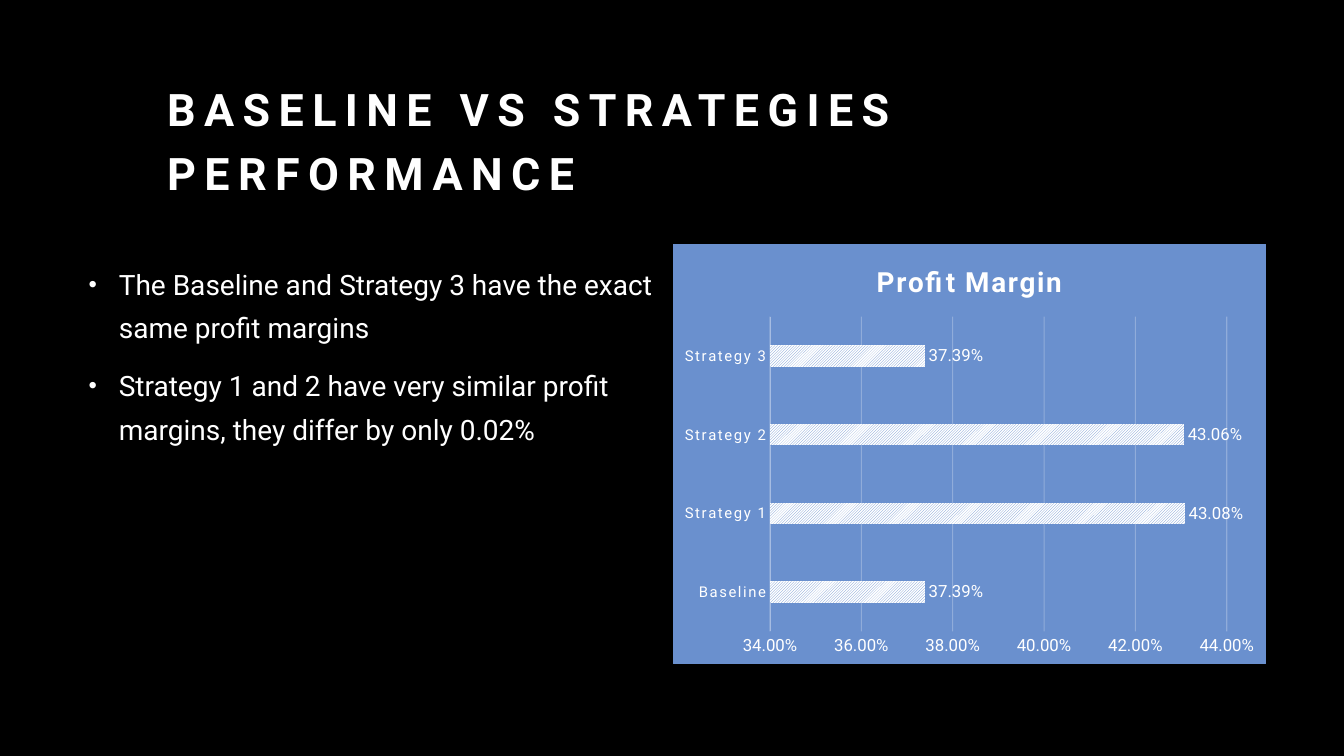
"""Build a slide comparing the profit margins of the baseline and three strategies."""
import pptx
import pptx.chart.data
import pptx.dml.color
import pptx.enum.chart
import pptx.enum.dml
import pptx.enum.text
import pptx.oxml
import pptx.oxml.ns
import pptx.util
from pptx.util import Inches

COLORS = {"black": "000000", "white": "FFFFFF", "blue": "6A90CE", "axis": "A6BCE2"}
FONT = "Roboto"


def rgb(name):
    return pptx.dml.color.RGBColor.from_string(COLORS[name])


def style(font, size, bold=False):
    font.name = FONT
    font.size = pptx.util.Pt(size)
    font.bold = bold
    font.color.rgb = rgb("white")


deck = pptx.Presentation()
deck.slide_width, deck.slide_height = Inches(13.33), Inches(7.5)
page = deck.slides.add_slide(deck.slide_layouts[6])
page.background.fill.solid()
page.background.fill.fore_color.rgb = rgb("black")

title_box = page.shapes.add_textbox(Inches(1.56), Inches(1.09), Inches(10.1), Inches(0.94))
title_box.text_frame.word_wrap = True
title_box.text_frame.vertical_anchor = pptx.enum.text.MSO_ANCHOR.BOTTOM
para = title_box.text_frame.paragraphs[0]
para.line_spacing = 1.2
span = para.add_run()
span.text = "BASELINE VS STRATEGIES PERFORMANCE"
style(span.font, 32, bold=True)
span.font._rPr.set("spc", "600")

margins = pptx.chart.data.CategoryChartData(number_format="0.00%")
margins.categories = ["Baseline", "Strategy 1", "Strategy 2", "Strategy 3"]
margins.add_series("Profit Margin", [0.3739, 0.4308, 0.4306, 0.3739])
chart = page.shapes.add_chart(
    pptx.enum.chart.XL_CHART_TYPE.BAR_CLUSTERED,
    Inches(6.67), Inches(2.42), Inches(5.89), Inches(4.17), margins,
).chart
style(chart.font, 10)
chart.has_legend = False
chart.has_title = True
chart.chart_title.include_in_layout = False
span = chart.chart_title.text_frame.paragraphs[0].add_run()
span.text = "Profit Margin"
style(span.font, 19.9, bold=True)
span.font._rPr.set("spc", "100")

solid = f'<a:solidFill><a:srgbClr val="{COLORS["blue"]}"/></a:solidFill>'
chart_area = pptx.oxml.parse_xml(
    f'<c:spPr {pptx.oxml.ns.nsdecls("c", "a")}>{solid}<a:ln w="9525">{solid}</a:ln></c:spPr>'
)
chart._chartSpace.chart.addnext(chart_area)

categories = chart.category_axis
categories.major_tick_mark = pptx.enum.chart.XL_TICK_MARK.NONE
categories.format.line.color.rgb = rgb("axis")
categories.format.line.width = pptx.util.Pt(0.25)
style(categories.tick_labels.font, 10.6)
categories.tick_labels.font._rPr.set("spc", "120")

values = chart.value_axis
values.minimum_scale, values.maximum_scale, values.major_unit = 0.34, 0.44, 0.02
values.major_tick_mark = pptx.enum.chart.XL_TICK_MARK.NONE
values.format.line.fill.background()
values.tick_labels.number_format = "0.00%"
values.tick_labels.number_format_is_linked = False
style(values.tick_labels.font, 12)
grid = values.major_gridlines.format.line
grid.color.rgb = rgb("white")
grid.width = pptx.util.Pt(0.75)
grid_color = grid._ln.find(".//" + pptx.oxml.ns.qn("a:srgbClr"))
grid_color.append(pptx.oxml.parse_xml(f'<a:alpha {pptx.oxml.ns.nsdecls("a")} val="25000"/>'))

plot = chart.plots[0]
plot.gap_width, plot.overlap = 269, -20
plot.vary_by_categories = False
bars = plot.series[0]
bars.invert_if_negative = False
bars.format.fill.patterned()
bars.format.fill.pattern = pptx.enum.dml.MSO_PATTERN.LIGHT_UPWARD_DIAGONAL
bars.format.fill.fore_color.rgb = rgb("blue")
bars.format.fill.back_color.rgb = rgb("white")
labels = bars.data_labels
labels.show_value = True
labels.position = pptx.enum.chart.XL_LABEL_POSITION.OUTSIDE_END
labels.number_format = "0.00%"
labels.number_format_is_linked = False
style(labels.font, 12)

findings = [
    "The Baseline and Strategy 3 have the exact\vsame profit margins",
    "Strategy 1 and 2 have very similar profit\vmargins, they differ by only 0.02%",
]
findings_box = page.shapes.add_textbox(Inches(0.78), Inches(2.5), Inches(10.39), Inches(4.17))
frame = findings_box.text_frame
frame.word_wrap = True
for index, finding in enumerate(findings):
    para = frame.add_paragraph() if index else frame.paragraphs[0]
    para.text = finding
    para.line_spacing = 1.3
    para.space_before = pptx.util.Pt(10 if index else 0)
    properties = para._p.get_or_add_pPr()
    properties.set("marL", str(Inches(0.3)))
    properties.set("indent", str(Inches(-0.3)))
    for bullet in ('buClr><a:srgbClr val="FFFFFF"/></a:buClr', 'buSzPct val="85000"/',
                   'buFont typeface="Arial"/', 'buChar char="•"/'):
        tag, rest = (bullet + ">").split(">", 1) if bullet.startswith("buClr") else (bullet, "")
        properties.append(pptx.oxml.parse_xml(f'<a:{tag.replace("buClr", "buClr " + pptx.oxml.ns.nsdecls("a"))}>{rest}')
                          if rest else pptx.oxml.parse_xml(f'<a:{tag.replace(" ", " " + pptx.oxml.ns.nsdecls("a") + " ", 1)}>'))
    style(para.font, 20)

deck.save("out.pptx")
